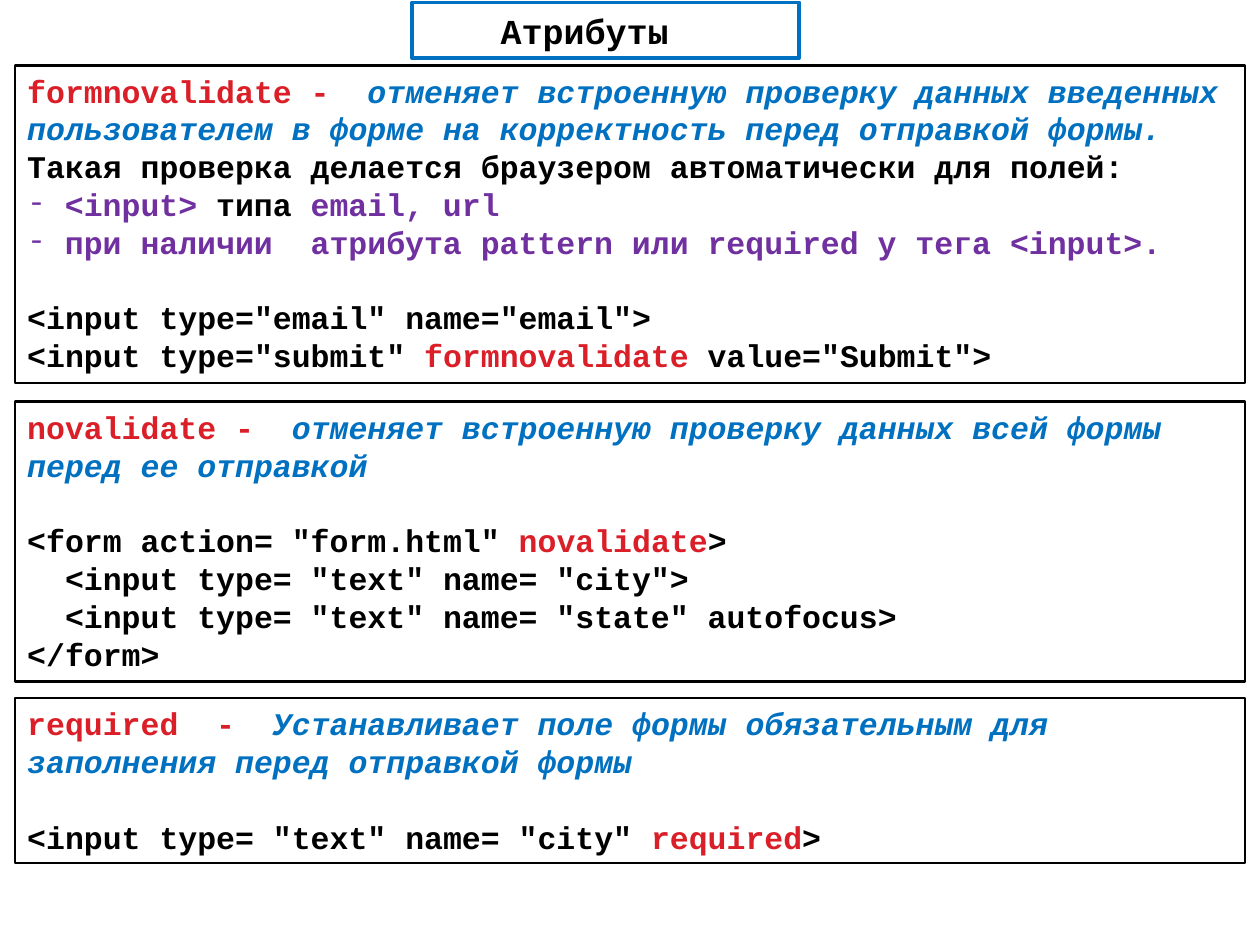
"""Build the slide on HTML form validation attributes."""
from lxml import etree
from pptx import Presentation
from pptx.dml.color import RGBColor
from pptx.enum.shapes import MSO_SHAPE
from pptx.enum.text import MSO_ANCHOR, MSO_AUTO_SIZE, PP_ALIGN
from pptx.oxml.ns import qn
from pptx.util import Cm, Pt

RECTANGLE = MSO_SHAPE.RECTANGLE
TOP, MIDDLE = MSO_ANCHOR.TOP, MSO_ANCHOR.MIDDLE
NO_AUTOFIT = MSO_AUTO_SIZE.NONE
LEFT, CENTER = PP_ALIGN.LEFT, PP_ALIGN.CENTER

FONT = "Courier New"
COLORS = {"code": "000000", "attribute": "DA1F28", "meaning": "0070C0", "field": "7030A0"}
LINE_HEIGHT = Pt(21.6)
DASH_INDENT = Cm(0.76)


def add_run(paragraph, text, role, size=18):
    run = paragraph.add_run()
    run.text = text
    run.font.name = FONT
    run.font.size = Pt(size)
    run.font.bold = True
    run.font.italic = role == "meaning"
    run.font.color.rgb = RGBColor.from_string(COLORS[role])


def outline(box, role, width):
    box.line.color.rgb = RGBColor.from_string(COLORS[role])
    box.line.width = Pt(width)


SECTIONS = [
    (1.32, 6.4, [
        ("text", [("formnovalidate -  ", "attribute"),
                  ("oтменяет встроенную проверку данных введенных пользователем "
                   "в форме на корректность перед отправкой формы. ", "meaning"),
                  ("Такая проверка делается браузером автоматически для полей:", "code")]),
        ("dash", [("<input> ", "field"), ("типа ", "code"), ("email, url", "field")]),
        ("dash", [("при наличии  атрибута pattern или required у тега <input>.", "field")]),
        ("gap", [('<input type="email" name="email">', "code")]),
        ("text", [('<input type="submit" ', "code"), ("formnovalidate ", "attribute"),
                  ('value="Submit">', "code")]),
    ]),
    (8.1, 5.64, [
        ("text", [("novalidate -  ", "attribute"),
                  ("oтменяет встроенную проверку данных всей формы перед ее отправкой",
                   "meaning")]),
        ("gap", [('<form action= "form.html" ', "code"), ("novalidate", "attribute"),
                 (">", "code")]),
        ("text", [('  <input type= "text" name= "city">', "code")]),
        ("text", [('  <input type= "text" name= "state" autofocus>', "code")]),
        ("text", [("</form>", "code")]),
    ]),
    (14.07, 3.33, [
        ("text", [("required  -  ", "attribute"),
                  ("Устанавливает поле формы обязательным для заполнения "
                   "перед отправкой формы", "meaning")]),
        ("gap", [('<input type= "text" name= "city" ', "code"), ("required", "attribute"),
                 (">", "code")]),
    ]),
]

prs = Presentation()
prs.slide_width, prs.slide_height = Cm(25.4), Cm(19.05)
slide = prs.slides.add_slide(prs.slide_layouts[5])

heading = slide.shapes.title
heading.left, heading.top, heading.width, heading.height = Cm(8.31), Cm(0.05), Cm(7.8), Cm(1.12)
outline(heading, "meaning", 2.25)
heading.text_frame.auto_size = NO_AUTOFIT
heading.text_frame.vertical_anchor = MIDDLE
heading.text_frame.margin_right = Cm(1.1)
heading.text_frame.paragraphs[0].alignment = CENTER
add_run(heading.text_frame.paragraphs[0], "Атрибуты", "code", 20)

for top, height, lines in SECTIONS:
    section = slide.shapes.add_shape(RECTANGLE, Cm(0.3), Cm(top), Cm(24.8), Cm(height))
    section.shadow.inherit = False
    section.fill.background()
    outline(section, "code", 1.5)
    frame = section.text_frame
    frame.word_wrap = True
    frame.vertical_anchor = TOP
    for index, (kind, runs) in enumerate(lines):
        paragraph = frame.add_paragraph() if index else frame.paragraphs[0]
        paragraph.alignment = LEFT
        if kind == "gap":
            paragraph.space_before = LINE_HEIGHT
        if kind == "dash":
            properties = paragraph._p.get_or_add_pPr()
            properties.set("marL", str(DASH_INDENT))
            properties.set("indent", str(-DASH_INDENT))
            etree.SubElement(properties, qn("a:buFont"), typeface=FONT)
            etree.SubElement(properties, qn("a:buChar"), char="-")
        for text, role in runs:
            add_run(paragraph, text, role)

prs.save("out.pptx")
